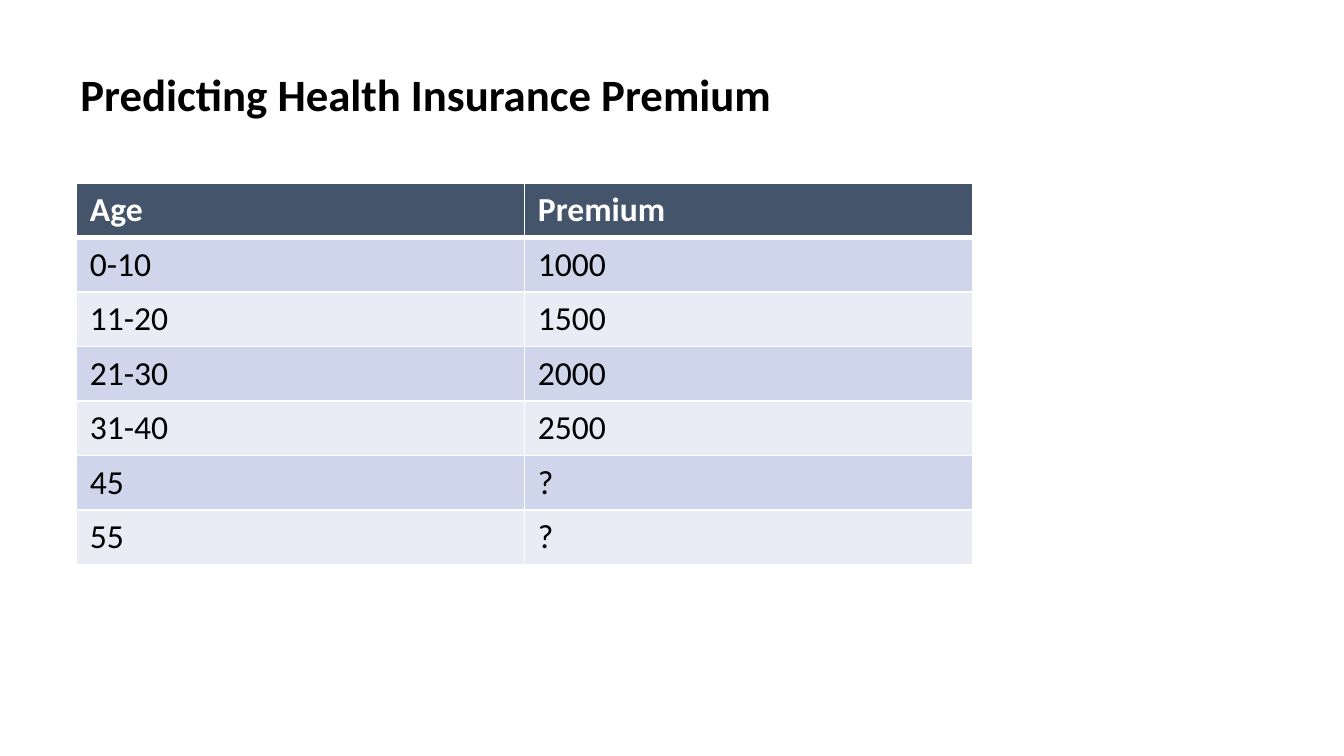
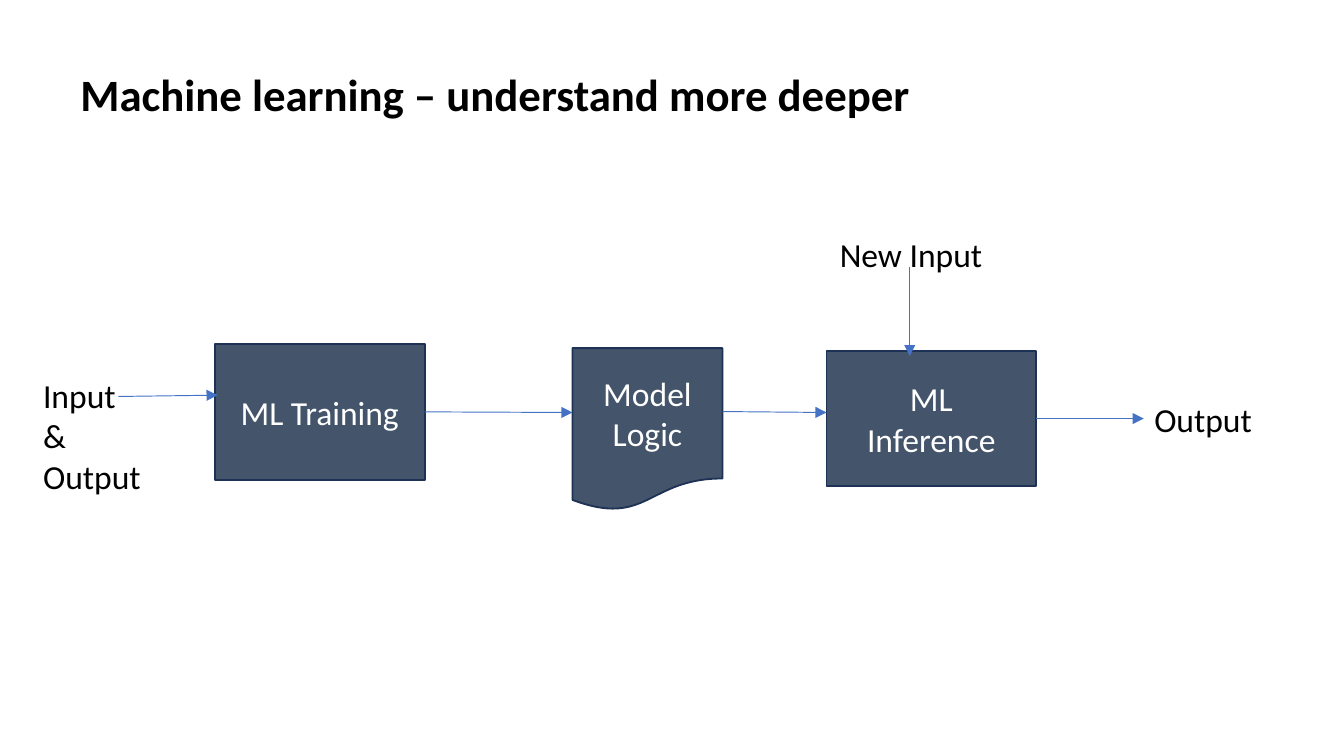
import pptx
import pptx.dml.color
import pptx.enum.shapes
import pptx.enum.text
import pptx.oxml
import pptx.oxml.ns
import pptx.util
from pptx.util import Pt

FONT = "Calibri"
COLORS = {
    "white": "FFFFFF",
    "black": "000000",
    "slate": "44546A",
    "outline": "1E3256",
    "arrow": "4472C4",
    "dark_band": "CFD5EA",
    "light_band": "E9EBF5",
}
TITLE_BOX = (36, 18, 648, 64.8)
TABLE_BOX = (41, 98, 480, 204.4)
FLOW_BOX = (16, 122, 676, 152)
PREMIUMS = [
    ("Age", "Premium"),
    ("0-10", "1000"),
    ("11-20", "1500"),
    ("21-30", "2000"),
    ("31-40", "2500"),
    ("45", "?"),
    ("55", "?"),
]


def rgb(name):
    return pptx.dml.color.RGBColor.from_string(COLORS[name])


def add_element(parent, xml):
    element = pptx.oxml.parse_xml(xml.replace(">", f" {pptx.oxml.ns.nsdecls('a')}>", 1))
    parent.append(element)


def write(frame, text, color="black", size=18, bold=False, align="LEFT"):
    frame.text = text
    for para in frame.paragraphs:
        para.alignment = getattr(pptx.enum.text.PP_ALIGN, align)
        for span in para.runs:
            span.font.name = FONT
            span.font.size = Pt(size)
            span.font.bold = bold
            span.font.color.rgb = rgb(color)


def add_label(page, box, text):
    label = page.shapes.add_textbox(*map(Pt, box))
    label.text_frame.word_wrap = True
    write(label.text_frame, text)
    return label


def add_title(page, box, text):
    title = add_label(page, box, text)
    title.text_frame.vertical_anchor = pptx.enum.text.MSO_ANCHOR.MIDDLE
    write(title.text_frame, text, size=24, bold=True)


def add_borders(cell, top, bottom):
    """Give a cell white edges; the side edges are one point wide."""
    properties = cell._tc.get_or_add_tcPr()
    for side, width in (("L", 1), ("R", 1), ("T", top), ("B", bottom)):
        add_element(
            properties,
            f'<a:ln{side} w="{Pt(width)}"><a:solidFill>'
            f'<a:srgbClr val="{COLORS["white"]}"/></a:solidFill></a:ln{side}>',
        )


def add_premium_table(page, box, rows):
    table = page.shapes.add_table(len(rows), len(rows[0]), *map(Pt, box)).table
    for column in table.columns:
        column.width = Pt(box[2] / len(rows[0]))
    for row_index, values in enumerate(rows):
        header = row_index == 0
        band = "slate" if header else ("light_band", "dark_band")[row_index % 2]
        table.rows[row_index].height = Pt(box[3] / len(rows))
        for column_index, value in enumerate(values):
            cell = table.cell(row_index, column_index)
            add_borders(cell, 3 if row_index == 1 else 1, 3 if header else 1)
            cell.fill.solid()
            cell.fill.fore_color.rgb = rgb(band)
            write(cell.text_frame, value, "white" if header else "black", bold=header)


def add_step(page, kind, box, text):
    step = page.shapes.add_shape(kind, *map(Pt, box))
    step.shadow.inherit = False
    step.fill.solid()
    step.fill.fore_color.rgb = rgb("slate")
    step.line.color.rgb = rgb("outline")
    step.line.width = Pt(1)
    step.text_frame.vertical_anchor = pptx.enum.text.MSO_ANCHOR.MIDDLE
    write(step.text_frame, text, "white", align="CENTER")
    return step


def add_arrow(page, start, end):
    arrow = page.shapes.add_connector(
        pptx.enum.shapes.MSO_CONNECTOR.STRAIGHT, *map(Pt, start + end)
    )
    arrow.line.color.rgb = rgb("arrow")
    arrow.line.width = Pt(0.5)
    add_element(arrow.line._get_or_add_ln(), '<a:tailEnd type="triangle"></a:tailEnd>')
    add_element(arrow._element.spPr, "<a:effectLst></a:effectLst>")
    return arrow


def add_learning_flow(page, box):
    left, top = box[:2]

    def place(x, y, *size):
        return (left + x, top + y, *size)

    shapes = pptx.enum.shapes.MSO_SHAPE
    step_size = (112.3, 72.7)
    training = add_step(page, shapes.RECTANGLE, place(99.2, 62.3, *step_size), "ML Training")
    add_step(page, shapes.FLOWCHART_DOCUMENT, place(290.7, 64.5, 80.3, 87.1), "Model\nLogic")
    inference = add_step(page, shapes.RECTANGLE, place(426.8, 65.9, *step_size), "ML\nInference")

    add_arrow(page, place(47.4, 90.4), place(100.6, 89.7))
    add_arrow(page, place(211.5, 98.65), place(290.7, 99)).begin_connect(training, 3)
    add_arrow(page, place(371.2, 98.5), place(426.8, 99))
    add_arrow(page, place(471.4, 21.3), place(471.4, 68.8))
    add_arrow(page, place(539.1, 102.25), place(596.7, 102.25)).begin_connect(inference, 3)

    add_label(page, place(0, 75.3, 77.8, 72.7), "Input\n&\nOutput")
    add_label(page, place(595.3, 88.2, 79.2, 28.8), "Output")
    add_label(page, place(426.8, 0, 107.3, 28.8), "New Input")


def add_page(deck, title):
    page = deck.slides.add_slide(deck.slide_layouts[6])
    add_title(page, TITLE_BOX, title)
    return page


def main():
    deck = pptx.Presentation()
    deck.slide_width, deck.slide_height = Pt(720), Pt(405)
    add_premium_table(add_page(deck, "Predicting Health Insurance Premium"), TABLE_BOX, PREMIUMS)
    add_learning_flow(add_page(deck, "Machine learning – understand more deeper"), FLOW_BOX)
    deck.save("out.pptx")


if __name__ == "__main__":
    main()
